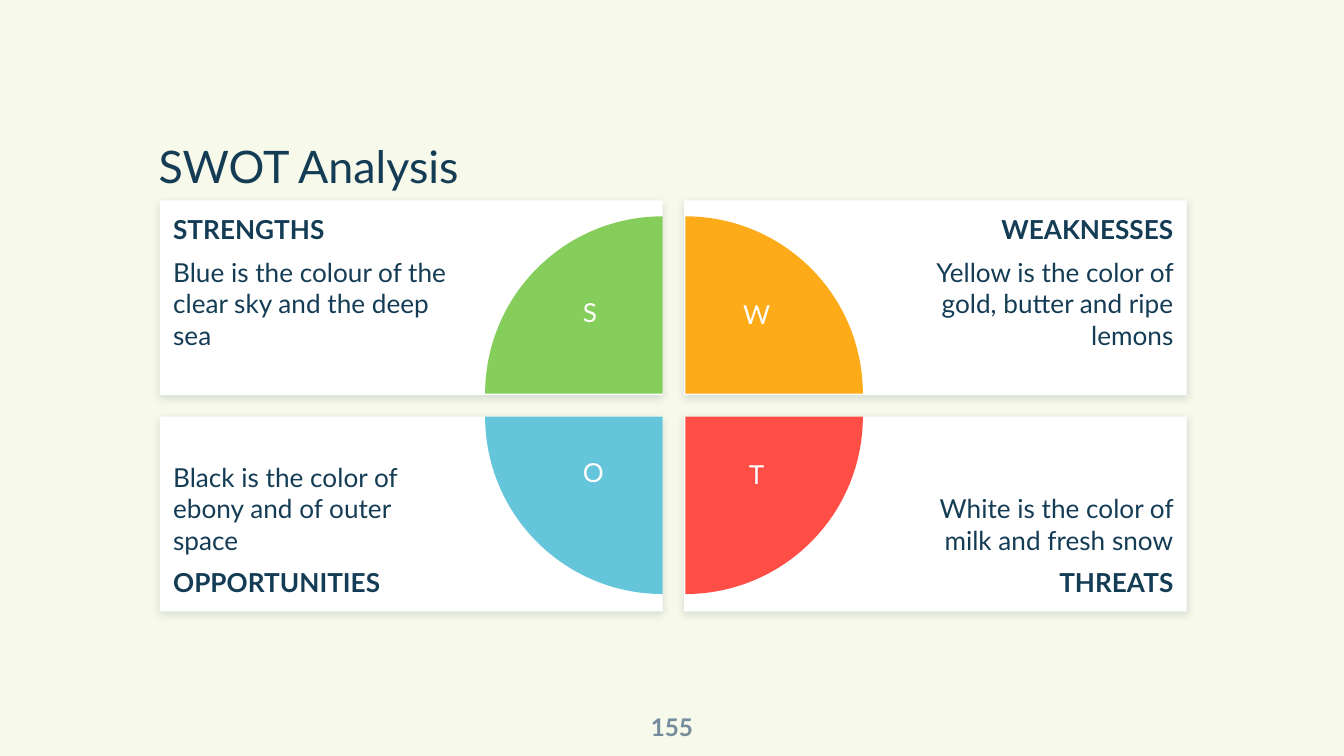
from lxml import etree
from pptx import Presentation
from pptx.dml.color import RGBColor
from pptx.enum import shapes, text
from pptx.oxml import ns
from pptx.util import Inches, Pt

NAVY, WHITE = "143C55", "FFFFFF"
LEFT, CENTER, RIGHT = text.PP_ALIGN.LEFT, text.PP_ALIGN.CENTER, text.PP_ALIGN.RIGHT
TOP, MIDDLE, BOTTOM = text.MSO_ANCHOR.TOP, text.MSO_ANCHOR.MIDDLE, text.MSO_ANCHOR.BOTTOM


def rgb(value):
    return RGBColor.from_string(value)


def write(shape, lines, size=14, color=NAVY, bold_line=None, align=LEFT,
          anchor=TOP, margins=(0, 0, 0, 0), line_spacing=None, gap=0):
    """Fill a shape with one paragraph per line; margins run left, top, right, bottom."""
    frame = shape.text_frame
    frame.word_wrap = True
    frame.vertical_anchor = anchor
    (frame.margin_left, frame.margin_top,
     frame.margin_right, frame.margin_bottom) = map(Inches, margins)
    for index, line in enumerate(lines):
        paragraph = frame.add_paragraph() if index else frame.paragraphs[0]
        paragraph.alignment = align
        if line_spacing:
            paragraph.line_spacing = line_spacing
        if index:
            paragraph.space_before = paragraph.space_after = Pt(gap)
        run = paragraph.add_run()
        run.text = line
        run.font.name = "Lato"
        run.font.size = Pt(size)
        run.font.bold = index == bold_line
        run.font.color.rgb = rgb(color)


deck = Presentation()
deck.slide_width = Inches(10)
deck.slide_height = deck.slide_width * 9 // 16
slide = deck.slides.add_slide(deck.slide_layouts[6])
slide.background.fill.solid()
slide.background.fill.fore_color.rgb = rgb("F7F9EA")

title = slide.shapes.add_textbox(Inches(1.18), Inches(1.07), Inches(7.63), Inches(0.37))
write(title, ["SWOT Analysis"], size=24, anchor=BOTTOM, line_spacing=0.9)
page_number = slide.shapes.add_textbox(Inches(4.7), Inches(5.19), Inches(0.6), Inches(0.43))
write(page_number, ["155"], size=13, color="748C9C", bold_line=0, align=CENTER, anchor=MIDDLE)

# column, row, heading, description
cards = [
    (0, 0, "STRENGTHS", "Blue is the colour of the clear sky and the deep sea"),
    (1, 0, "WEAKNESSES", "Yellow is the color of gold, butter and ripe lemons"),
    (0, 1, "OPPORTUNITIES", "Black is the color of ebony and of outer space"),
    (1, 1, "THREATS", "White is the color of milk and fresh snow"),
]
for column, row, heading, description in cards:
    card = slide.shapes.add_shape(
        shapes.MSO_SHAPE.RECTANGLE, Inches(1.19 + 3.9 * column),
        Inches(1.49 + 1.61 * row), Inches(3.74), Inches(1.45))
    card.fill.solid()
    card.fill.fore_color.rgb = rgb(WHITE)
    card.line.fill.background()
    effects = etree.SubElement(card._element.spPr, ns.qn("a:effectLst"))
    shadow = etree.SubElement(effects, ns.qn("a:outerShdw"), blurRad=str(Pt(4.5)),
                              dist=str(Pt(1.5)), dir="5400000", algn="bl", rotWithShape="0")
    shadow_color = etree.SubElement(shadow, ns.qn("a:srgbClr"), val=NAVY)
    etree.SubElement(shadow_color, ns.qn("a:alpha"), val="14000")
    write(card, [description, heading] if row else [heading, description],
          bold_line=row, align=RIGHT if column else LEFT,
          anchor=BOTTOM if row else TOP, gap=6,
          margins=(1.5, 0.1, 0.1, 0.1) if column else (0.1, 0.1, 1.5, 0.1))

# column, row, colour, clockwise from the top left
quadrants = [(0, 0, "85CE5B"), (1, 0, "FEAB19"), (1, 1, "FF4E45"), (0, 1, "65C5DB")]
for turn, (column, row, color) in enumerate(quadrants):
    quadrant = slide.shapes.add_shape(
        shapes.MSO_SHAPE.PIE, Inches(3.61 + 0.17 * column),
        Inches(1.61 + 0.17 * row), Inches(2.64), Inches(2.64))
    quadrant.adjustments[0], quadrant.adjustments[1] = 108, 162  # 180 to 270 degrees
    quadrant.rotation = 90 * turn
    quadrant.shadow.inherit = False
    quadrant.fill.solid()
    quadrant.fill.fore_color.rgb = rgb(color)
    quadrant.line.fill.background()

for initial, left, top, width in [("S", 4.22, 2.16, 0.34), ("W", 5.3, 2.17, 0.66),
                                  ("O", 4.18, 3.35, 0.47), ("T", 5.43, 3.36, 0.4)]:
    label = slide.shapes.add_textbox(Inches(left), Inches(top), Inches(width), Inches(0.47))
    write(label, [initial], color=WHITE, align=CENTER, margins=(0.1, 0.05, 0.1, 0.05))

deck.save("out.pptx")
